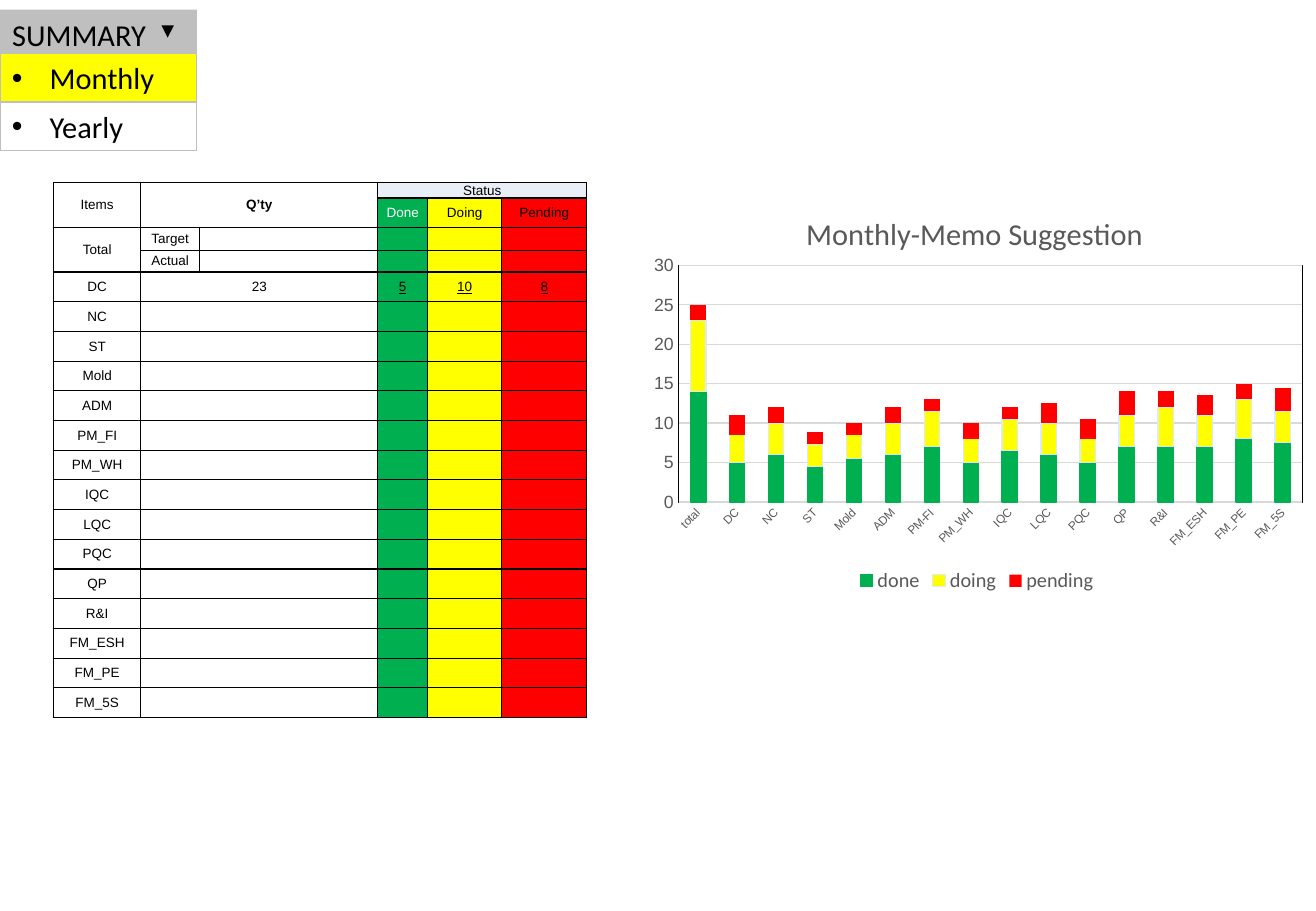
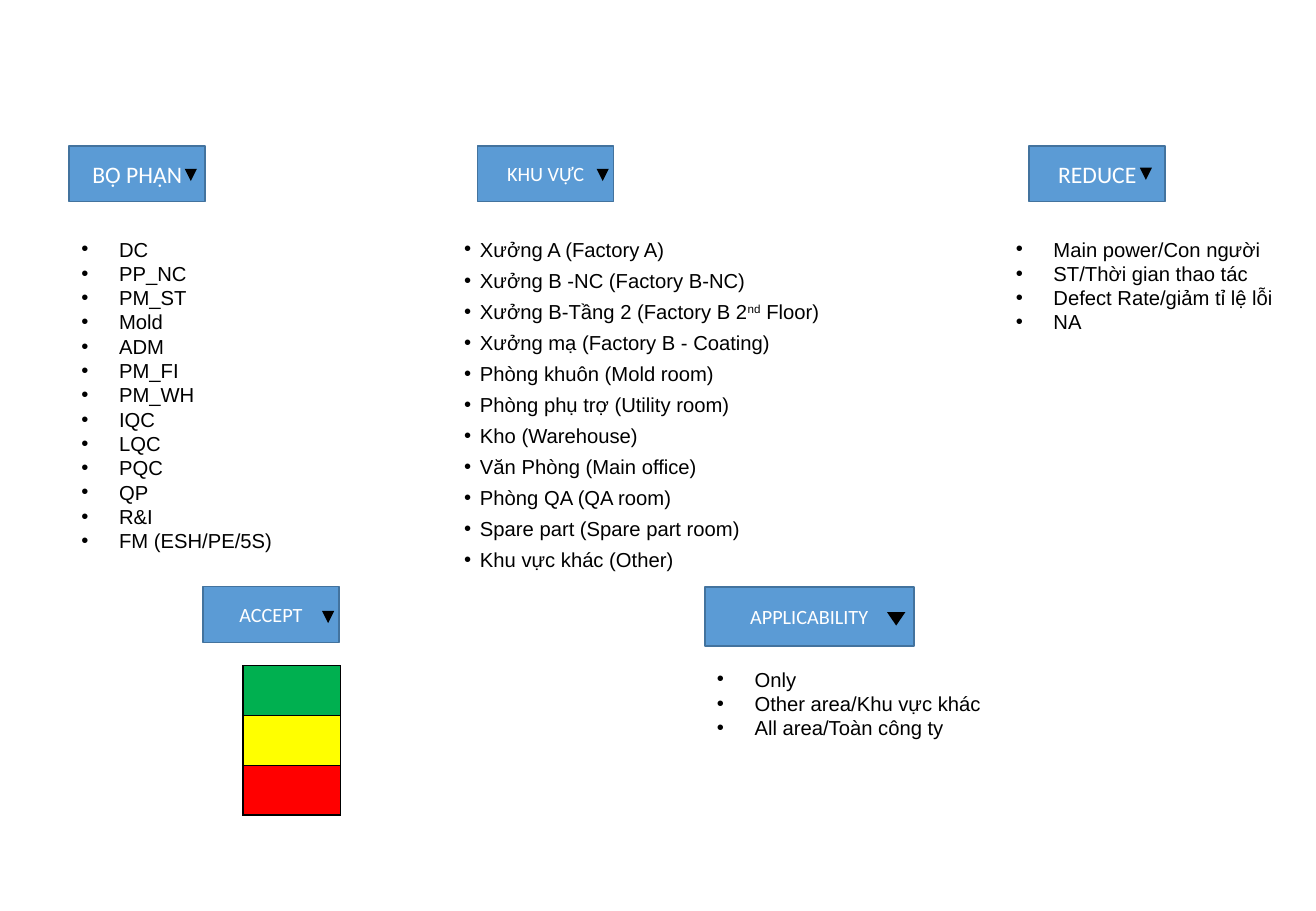
"""Build a two-page suggestion report: monthly summary and form options."""
from lxml.etree import SubElement
from pptx import Presentation
from pptx.chart.data import CategoryChartData
from pptx.dml.color import RGBColor
from pptx.enum.chart import XL_CHART_TYPE as ChartType, XL_LEGEND_POSITION as LegendPos, XL_TICK_MARK as Tick
from pptx.enum.shapes import MSO_SHAPE as Shape
from pptx.enum.text import MSO_ANCHOR as Anchor, MSO_AUTO_SIZE as AutoSize, PP_ALIGN as Align
from pptx.oxml.ns import qn
from pptx.util import Pt

PX = 9144
COLORS = {
    "black": "000000", "white": "FFFFFF", "gray": "BFBFBF", "text": "595959", "grid": "D9D9D9",
    "done": "00B050", "doing": "FFFF00", "pending": "FF0000", "status": "EAEFF7",
    "button": "5B9BD5", "button_line": "43739E", "doing_line": "DEEBF7",
}
STATES = ["done", "doing", "pending"]
ITEMS = ["DC", "NC", "ST", "Mold", "ADM", "PM_FI", "PM_WH", "IQC", "LQC", "PQC", "QP", "R&I",
         "FM_ESH", "FM_PE", "FM_5S"]
CATEGORIES = ["total"] + [item.replace("PM_FI", "PM-FI") for item in ITEMS]
VALUES = {
    "done": [14, 5, 6, 4.5, 5.5, 6, 7, 5, 6.5, 6, 5, 7, 7, 7, 8, 7.5],
    "doing": [9, 3.5, 4, 2.8, 3, 4, 4.5, 3, 4, 4, 3, 4, 5, 4, 5, 4],
    "pending": [2, 2.5, 2, 1.5, 1.5, 2, 1.5, 2, 1.5, 2.5, 2.5, 3, 2, 2.5, 2, 3],
}
DEPARTMENTS = ["DC", "PP_NC", "PM_ST", "Mold", "ADM", "PM_FI", "PM_WH", "IQC", "LQC", "PQC", "QP",
               "R&I", "FM (ESH/PE/5S)"]
AREAS = ["Xưởng A (Factory A)", "Xưởng B -NC (Factory B-NC)",
         ("Xưởng B-Tầng 2 (Factory B 2", "nd", " Floor)"), "Xưởng mạ (Factory B - Coating)",
         "Phòng khuôn (Mold room)", "Phòng phụ trợ (Utility room)", "Kho (Warehouse)",
         "Văn Phòng (Main office)", "Phòng QA (QA room)", "Spare part (Spare part room)",
         "Khu vực khác (Other)"]
REDUCTIONS = ["Main power/Con người", "ST/Thời gian thao tác", "Defect Rate/giảm tỉ lệ lỗi", "NA"]
SCOPES = ["Only", "Other area/Khu vực khác", "All area/Toàn công ty"]


def px(*lengths):
    """Turn px lengths into EMU."""
    return [length * PX for length in lengths]


def rgb(name):
    """Look up a named colour."""
    return RGBColor.from_string(COLORS[name])


def style_font(font, size, name="Calibri", color="black", bold=False, underline=False):
    """Format a font."""
    font.size, font.name, font.bold, font.underline = Pt(size), name, bold, underline
    font.color.rgb = rgb(color)


def put_text(para, text, align=Align.LEFT, superscript=False, **style):
    """Add a formatted run to a paragraph."""
    para.alignment = align
    span = para.add_run()
    span.text = text
    style_font(span.font, **style)
    if superscript:
        span.font._element.set("baseline", "30000")


def add_bullet(para, indent):
    """Give a paragraph a hanging round bullet."""
    props = para._p.get_or_add_pPr()
    props.set("marL", str(indent * PX))
    props.set("indent", str(-indent * PX))
    SubElement(props, qn("a:buFont")).set("typeface", "Arial")
    SubElement(props, qn("a:buChar")).set("char", "•")


def paint(box, fill=None, line=None, width=0.75):
    """Set the fill and outline of a box, or clear them."""
    if fill:
        box.fill.solid()
        box.fill.fore_color.rgb = rgb(fill)
    else:
        box.fill.background()
    if line:
        box.line.color.rgb = rgb(line)
        box.line.width = Pt(width)
    else:
        box.line.fill.background()


def add_box(shapes, kind, place, **look):
    """Add a flat preset shape."""
    box = shapes.add_shape(kind, *px(*place))
    box.shadow.inherit = False
    paint(box, **look)
    return box


def add_arrow(shapes, left, top, width=10, height=10):
    """Add a black triangle that points down."""
    add_box(shapes, Shape.ISOSCELES_TRIANGLE, (left, top, width, height), fill="black").rotation = 180


def move(box, left, top, width, height):
    """Place a placeholder and let its text start at the top."""
    box.left, box.top, box.width, box.height = px(left, top, width, height)
    frame = box.text_frame
    frame.word_wrap, frame.auto_size, frame.vertical_anchor = True, AutoSize.NONE, Anchor.TOP


def add_option(page, text, top, fill=None):
    """Add one bulleted entry of the summary menu."""
    box = add_box(page.shapes, Shape.RECTANGLE, (0, top, 162, 40), fill=fill, line="gray")
    box.text_frame.vertical_anchor = Anchor.TOP
    para = box.text_frame.paragraphs[0]
    put_text(para, text, size=18)
    add_bullet(para, 31)


def add_button(page, text, place, arrow, size=12):
    """Add a grouped drop-down button."""
    shapes = page.shapes.add_group_shape().shapes
    box = add_box(shapes, Shape.RECTANGLE, place, fill="button", line="button_line", width=1)
    box.text_frame.vertical_anchor = Anchor.MIDDLE
    put_text(box.text_frame.paragraphs[0], text, align=Align.CENTER, size=size, color="white")
    add_arrow(shapes, *arrow)


def fill_list(box, place, entries, indent=31, before=0):
    """Fill a body placeholder with bullets; odd parts of an entry are superscript."""
    move(box, *place)
    frame = box.text_frame
    for number, entry in enumerate(entries):
        para = frame.add_paragraph() if number else frame.paragraphs[0]
        para.line_spacing, para.space_before, para.space_after = Pt(14.4), Pt(before), Pt(0)
        parts = (entry,) if isinstance(entry, str) else entry
        for order, part in enumerate(parts):
            put_text(para, part, size=12, name="Arial", superscript=order % 2 == 1)
        add_bullet(para, indent)


def style_cell(cell, fill, text="", anchor=Anchor.MIDDLE, **style):
    """Give a cell thin borders, a fill and small centred text."""
    cell.margin_left = cell.margin_right = cell.margin_top = cell.margin_bottom = 0
    cell.vertical_anchor = anchor
    props = cell._tc.get_or_add_tcPr()
    for side in ("lnL", "lnR", "lnT", "lnB"):
        line = SubElement(props, qn(f"a:{side}"), w=str(Pt(0.75)))
        SubElement(SubElement(line, qn("a:solidFill")), qn("a:srgbClr")).set("val", COLORS["black"])
    cell.fill.solid()
    cell.fill.fore_color.rgb = rgb(fill)
    para = cell.text_frame.paragraphs[0]
    if text:
        put_text(para, text, align=Align.CENTER, size=8, name="Arial", **style)
    else:
        SubElement(para._p, qn("a:endParaRPr")).set("sz", "800")


def add_grid(page, left, top, widths, heights):
    """Add a plain table with EMU row heights."""
    frame = page.shapes.add_table(len(heights), len(widths), *px(left, top, sum(widths)), sum(heights))
    table = frame.table
    table.first_row = table.horz_banding = False
    for column, width in zip(table.columns, px(*widths)):
        column.width = width
    for row, height in zip(table.rows, heights):
        row.height = height
    return table


def add_status_table(page):
    """Add the table of items and their status."""
    heights = px(13, 24, 19, 18) + [367 * PX // len(ITEMS)] * len(ITEMS)
    table = add_grid(page, 44, 150, [72, 48, 147, 41, 61, 70], heights)
    texts = {(0, 0): "Items", (0, 1): "Q’ty", (0, 3): "Status", (2, 0): "Total", (2, 1): "Target",
             (3, 1): "Actual", (4, 1): "23", (4, 3): "5", (4, 4): "10", (4, 5): "8"}
    texts.update({(1, 3 + order): state.title() for order, state in enumerate(STATES)})
    texts.update({(4 + order, 0): item for order, item in enumerate(ITEMS)})
    styles = {(0, 1): {"bold": True}, (0, 3): {"anchor": Anchor.BOTTOM}, (1, 3): {"color": "white"}}
    styles.update({(4, column): {"underline": True} for column in (3, 4, 5)})
    for row in range(len(heights)):
        for column in range(6):
            fill = "white" if column < 3 else STATES[column - 3] if row else "status"
            spot = (row, column)
            style_cell(table.cell(*spot), fill, texts.get(spot, ""), **styles.get(spot, {}))
    spans = [((0, 0), (1, 0)), ((0, 1), (1, 2)), ((0, 3), (0, 5)), ((2, 0), (3, 0))]
    spans += [((row, 1), (row, 2)) for row in range(4, len(heights))]
    for start, end in spans:
        table.cell(*start).merge(table.cell(*end))


def set_layout(parent, position, **shares):
    """Place a chart part by shares of the chart area."""
    layout = parent.find(qn("c:layout"))
    if layout is None:
        layout = SubElement(parent, qn("c:layout"))
        parent.insert(position, layout)
    manual = SubElement(layout, qn("c:manualLayout"))
    if "w" in shares:
        SubElement(manual, qn("c:layoutTarget")).set("val", "inner")
    for mode in ("xMode", "yMode"):
        SubElement(manual, qn(f"c:{mode}")).set("val", "edge")
    for key, share in shares.items():
        SubElement(manual, qn(f"c:{key}")).set("val", str(share))


def style_axes(chart):
    """Format both axes and frame the plot area."""
    months, scale = chart.category_axis, chart.value_axis
    for axis, size in ((months, 7), (scale, 10.5)):
        axis.major_tick_mark = axis.minor_tick_mark = Tick.NONE
        style_font(axis.tick_labels.font, size, "Arial", "text")
    months._element.find(qn("c:txPr")).find(qn("a:bodyPr")).set("rot", "-2700000")
    scale.minimum_scale, scale.maximum_scale, scale.major_unit = 0, 30, 5
    scale.format.line.fill.background()
    for line in (months.format.line, scale.major_gridlines.format.line):
        line.color.rgb, line.width = rgb("grid"), Pt(0.75)
    plot_area = chart._chartSpace.chart.plotArea
    set_layout(plot_area, 0, x=0.06, y=0.2, w=0.92, h=0.57)
    border = SubElement(SubElement(plot_area, qn("c:spPr")), qn("a:ln"), w=str(Pt(0.25)))
    SubElement(SubElement(border, qn("a:solidFill")), qn("a:srgbClr")).set("val", COLORS["black"])


def add_status_chart(page):
    """Add the stacked column chart of suggestions."""
    data = CategoryChartData()
    data.categories = CATEGORIES
    for state in STATES:
        data.add_series(state, VALUES[state])
    chart = page.shapes.add_chart(ChartType.COLUMN_STACKED, *px(525, 150, 558, 342), data).chart
    style_font(chart.font, 10)
    chart.has_title = True
    put_text(chart.chart_title.text_frame.paragraphs[0], "Monthly-Memo Suggestion",
             align=Align.CENTER, size=18, color="text")
    set_layout(chart.chart_title._element, 1, x=0.24, y=0.06)
    chart.has_legend = True
    chart.legend.position, chart.legend.include_in_layout = LegendPos.BOTTOM, False
    style_font(chart.legend.font, 12, color="text")
    plot = chart.plots[0]
    plot.gap_width, plot.overlap, plot.vary_by_categories = 150, 100, False
    for series, line in zip(plot.series, ("done", "doing_line", None)):
        paint(series.format, fill=series.name, line=line)
    style_axes(chart)


def build_summary(deck):
    """Build the monthly summary page."""
    page = deck.slides.add_slide(deck.slide_layouts[5])
    title = page.shapes.title
    move(title, 0, 8, 162, 40)
    paint(title, fill="gray")
    put_text(title.text_frame.paragraphs[0], "SUMMARY", size=18)
    add_status_table(page)
    add_option(page, "Monthly", 44, fill="doing")
    add_option(page, "Yearly", 84)
    add_arrow(page.shapes, 133, 21)
    add_status_chart(page)


def build_options(deck):
    """Build the page of form options."""
    page = deck.slides.add_slide(deck.slide_layouts[4])
    title = page.shapes.title.element
    title.getparent().remove(title)
    departments, areas, reductions, scopes = page.placeholders
    fill_list(departments, (57, 190, 185, 273), DEPARTMENTS)
    fill_list(areas, (372, 190, 360, 288), AREAS, indent=13, before=4)
    fill_list(reductions, (826, 190, 240, 91), REDUCTIONS)
    fill_list(scopes, (580, 544, 245, 71), SCOPES)
    add_button(page, "BỘ PHẬN", (57, 120, 112, 46), (152, 139), size=14)
    add_button(page, "KHU VỰC", (393, 120, 112, 46), (491, 139))
    add_button(page, "REDUCE", (847, 120, 112, 46), (938, 138), size=14)
    add_button(page, "ACCEPT", (167, 483, 112, 46), (265, 503))
    add_button(page, "APPLICABILITY", (580, 483, 172, 49), (730, 504, 15, 11))
    table = add_grid(page, 200, 548, [80], px(41, 41, 41))
    for row, state in enumerate(STATES):
        style_cell(table.cell(row, 0), state)


def main():
    """Build and save the deck."""
    deck = Presentation()
    deck.slide_width, deck.slide_height = px(1083, 750)
    build_summary(deck)
    build_options(deck)
    deck.save("out.pptx")


if __name__ == "__main__":
    main()
